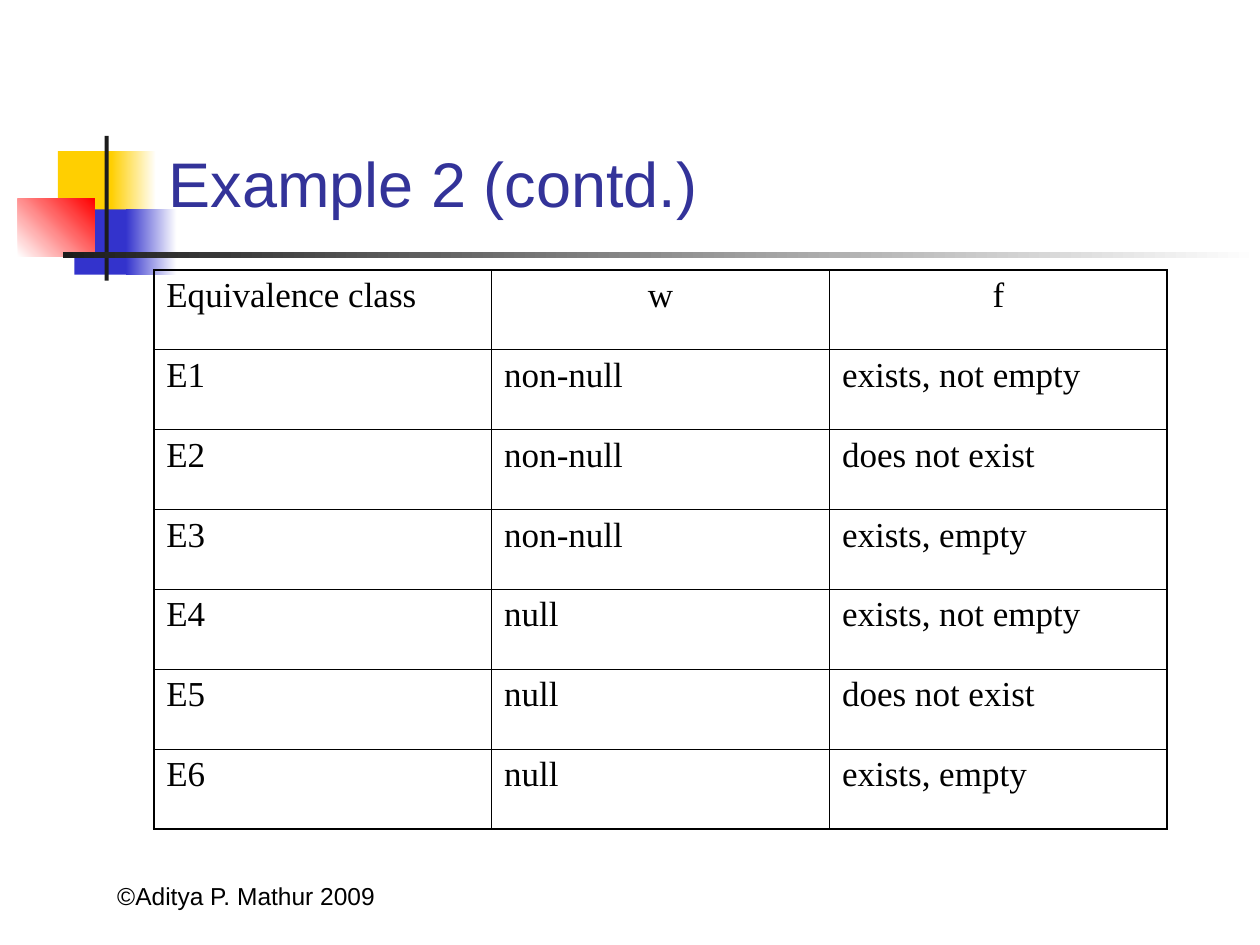
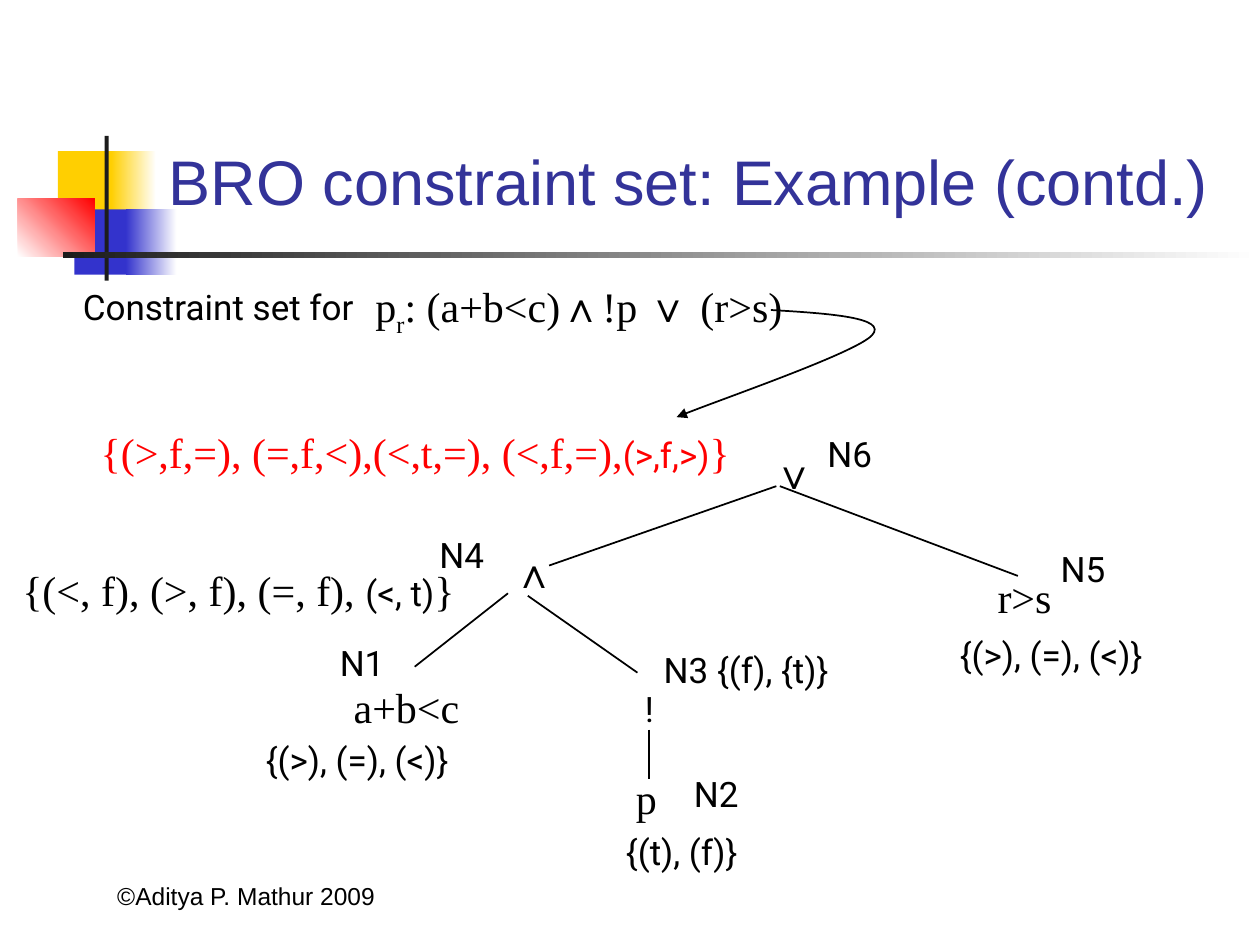
from lxml import etree
from pptx import Presentation
from pptx.dml.color import RGBColor
from pptx.enum import shapes, text
from pptx.oxml import ns
from pptx.util import Cm, Pt

BLACK = RGBColor(0x00, 0x00, 0x00)
WHITE = RGBColor(0xFF, 0xFF, 0xFF)
CHARCOAL = RGBColor(0x1C, 0x1C, 0x1C)
YELLOW = RGBColor(0xFF, 0xCF, 0x01)
BLUE = RGBColor(0x33, 0x33, 0xCC)
RED = RGBColor(0xFF, 0x00, 0x00)
TITLE_BLUE = RGBColor(0x33, 0x33, 0x99)

# Text styles: font name and size in points
TITLE = ("Arial", 36)
FOOTER = ("Arial", 14)
SYMBOL = ("Arial", 24)
FORMULA = ("Times New Roman", 24)
CELL = ("Times New Roman", 20)
LABEL = ("Roboto", 20)

LINE_WIDTH = Pt(1)
OUTER_BORDER, INNER_BORDER = Pt(1.08), Pt(0.45)

CLASSES = [
    ("Equivalence class", "w", "f"),
    ("E1", "non-null", "exists, not empty"),
    ("E2", "non-null", "does not exist"),
    ("E3", "non-null", "exists, empty"),
    ("E4", "null", "exists, not empty"),
    ("E5", "null", "does not exist"),
    ("E6", "null", "exists, empty"),
]

# Left, top and width in cm, then the text
NODE_NAMES = [
    (6.6, 12.8, 1.55, "N1"),
    (13.74, 15.44, 1.55, "N2"),
    (13.13, 12.95, 4.32, "N3 {(f), {t)}"),
    (8.61, 10.64, 1.55, "N4"),
    (21.13, 10.92, 1.55, "N5"),
    (16.43, 8.59, 1.55, "N6"),
]
LEAF_SETS = [
    (5.11, 14.76, 5.49, "{(>), (=), (<)}"),
    (19.1, 12.65, 5.49, "{(>), (=), (<)}"),
    (12.37, 16.61, 3.81, "{(t), (f)}"),
]
NOT_OPERATOR = [(12.75, 13.74, 0.69, "!")]
OPERANDS = [
    (12.57, 15.44, 1.02, "p"),
    (19.86, 11.4, 1.88, "r>s"),
    (6.88, 13.61, 3.2, "a+b<c"),
]
OPERATORS = [(10.11, 10.9, 0.79, "∧"), (15.34, 8.89, 0.51, "∨")]

# Start x, y and end x, y in cm
TREE_EDGES = [
    (10.24, 11.96, 8.36, 13.44),
    (10.64, 12.01, 12.85, 13.56),
    (13.08, 14.71, 13.08, 15.7),
    (15.65, 9.8, 11.07, 11.4),
    (15.72, 9.8, 20.52, 11.61),
]
# Start point, then two control points and an end point for each curve
ARROW_POINTS = [
    (15.54, 6.25),
    (16.71, 6.32), (17.91, 6.4), (17.58, 6.76),
    (17.25, 7.11), (14.3, 8.13), (13.64, 8.41),
]


def add_run(para, words, style, colour=BLACK, subscript=False):
    span = para.add_run()
    span.text = words
    span.font.name, span.font.size = style[0], Pt(style[1])
    span.font.color.rgb = colour
    if subscript:
        span._r.get_or_add_rPr().set("baseline", "-25000")


def add_text(slide, left, top, width, runs, colour=BLACK):
    """Add a one-line box; each run is (words, style[, subscript])."""
    height = 1.27 if runs[0][1][1] == 24 else 1.12
    box = slide.shapes.add_textbox(Cm(left), Cm(top), Cm(width), Cm(height))
    box.text_frame.word_wrap = True
    para = box.text_frame.paragraphs[0]
    for words, style, *subscript in runs:
        add_run(para, words, style, colour, bool(subscript))
    return box


def add_block(slide, left, top, width, height, start, end=None, angle=0):
    """Add a rectangle, solid or fading from start to end."""
    block = slide.shapes.add_shape(
        shapes.MSO_SHAPE.RECTANGLE, Cm(left), Cm(top), Cm(width), Cm(height))
    block.shadow.inherit = False
    block.line.fill.background()
    if end is None:
        block.fill.solid()
        block.fill.fore_color.rgb = start
    else:
        block.fill.gradient()
        block.fill.gradient_angle = angle
        for stop, colour in zip(block.fill.gradient_stops, (start, end)):
            stop.color.rgb = colour
    return block


def decorate_layout(layout, slide):
    """Draw the blocks and rule on a slide, then move them to its layout."""
    blocks = [
        add_block(slide, 1.17, 3.05, 1.22, 1.32, YELLOW),
        add_block(slide, 2.24, 3.05, 0.91, 1.32, YELLOW, WHITE),
        add_block(slide, 1.5, 4.22, 1.17, 1.32, BLUE),
        add_block(slide, 2.54, 4.22, 1.02, 1.32, BLUE, WHITE),
        add_block(slide, 0.36, 4.01, 1.55, 1.17, WHITE, RED, 45),
        add_block(slide, 2.11, 2.74, 0.08, 2.92, CHARCOAL),
        add_block(slide, 1.27, 5.08, 24.13, 0.13, CHARCOAL, WHITE),
    ]
    for block in blocks:
        layout.shapes.element.append(block.element)


def add_title(slide, words, top):
    title = slide.shapes.title
    title.left, title.top = Cm(3.15), Cm(top)
    title.width, title.height = Cm(21.64), Cm(1.8)
    frame = title.text_frame
    frame.auto_size = text.MSO_AUTO_SIZE.NONE
    frame.vertical_anchor = text.MSO_ANCHOR.BOTTOM
    frame.paragraphs[0].alignment = text.PP_ALIGN.LEFT
    add_run(frame.paragraphs[0], words, TITLE, TITLE_BLUE)


def add_footer(slide):
    box = add_text(slide, 0.94, 17.2, 8.05, [("©Aditya P. Mathur 2009", FOOTER)])
    box.height = Cm(1.27)
    box.text_frame.vertical_anchor = text.MSO_ANCHOR.BOTTOM
    box.text_frame.paragraphs[0].alignment = text.PP_ALIGN.CENTER


def add_slide(deck, layout, title, title_top):
    slide = deck.slides.add_slide(layout)
    add_title(slide, title, title_top)
    add_footer(slide)
    return slide


def set_borders(cell, widths):
    """Give the left, right, top and bottom borders their widths."""
    properties = cell._tc.get_or_add_tcPr()
    for position, (side, width) in enumerate(zip("LRTB", widths)):
        border = etree.Element(ns.qn(f"a:ln{side}"), w=str(int(width)))
        fill = etree.SubElement(border, ns.qn("a:solidFill"))
        etree.SubElement(fill, ns.qn("a:srgbClr"), val=str(BLACK))
        properties.insert(position, border)


def add_class_table(slide, rows):
    last_row, last_column = len(rows) - 1, len(rows[0]) - 1
    table = slide.shapes.add_table(
        len(rows), len(rows[0]), Cm(3.1), Cm(5.44),
        Cm(6.81 * len(rows[0])), Cm(1.61 * len(rows))).table
    table.first_row = table.horz_banding = False
    for r, row in enumerate(rows):
        for c, words in enumerate(row):
            cell = table.cell(r, c)
            cell.fill.background()
            para = cell.text_frame.paragraphs[0]
            if r == 0 and c > 0:
                para.alignment = text.PP_ALIGN.CENTER
            add_run(para, words, CELL)
            on_edge = (c == 0, c == last_column, r == 0, r == last_row)
            set_borders(cell, [OUTER_BORDER if edge else INNER_BORDER
                               for edge in on_edge])


def add_edge(slide, x1, y1, x2, y2):
    edge = slide.shapes.add_connector(
        shapes.MSO_CONNECTOR.STRAIGHT, Cm(x1), Cm(y1), Cm(x2), Cm(y2))
    edge.line.width = LINE_WIDTH
    edge.line.color.rgb = BLACK
    etree.SubElement(edge.element.spPr, ns.qn("a:effectLst"))


def add_curved_arrow(slide, points):
    start, *others = [(Cm(x), Cm(y)) for x, y in points]
    builder = slide.shapes.build_freeform(*start)
    builder.add_line_segments(others, close=False)
    arrow = builder.convert_to_shape()
    arrow.shadow.inherit = False
    arrow.fill.background()
    arrow.line.width = LINE_WIDTH
    arrow.line.color.rgb = BLACK
    etree.SubElement(arrow.line._get_or_add_ln(), ns.qn("a:tailEnd"), type="triangle")

    # Every three line segments become one Bézier curve
    outline = next(arrow.element.iter(ns.qn("a:path")))
    segments = outline.findall(ns.qn("a:lnTo"))
    for first in range(0, len(segments), 3):
        curve = etree.SubElement(outline, ns.qn("a:cubicBezTo"))
        for segment in segments[first:first + 3]:
            curve.append(segment[0])
            outline.remove(segment)


def add_constraint_tree(slide):
    add_text(slide, 1.78, 8.48, 14.43, [
        ("{(>,f,=), (=,f,<),(<,t,=), (<,f,=),", FORMULA),
        ("(>,f,>)", LABEL), ("}", FORMULA)], RED)
    add_text(slide, 0.2, 11.25, 10.16, [
        ("{(<, f), (>, f), (=, f), ", FORMULA),
        ("(<, t)", LABEL), ("}", FORMULA)])
    for style, items in (
            (FORMULA, OPERANDS), (SYMBOL, OPERATORS),
            (LABEL, NODE_NAMES + LEAF_SETS + NOT_OPERATOR)):
        for left, top, width, words in items:
            add_text(slide, left, top, width, [(words, style)])
    for edge in TREE_EDGES:
        add_edge(slide, *edge)


def add_predicate(slide):
    add_text(slide, 1.42, 5.64, 6.3, [("Constraint set for", LABEL)])
    add_text(slide, 7.32, 5.54, 11.15, [
        ("p", FORMULA), ("r", FORMULA, True), (": (a+b<c)", FORMULA),
        ("∧", SYMBOL), ("!p ", FORMULA), ("∨", SYMBOL), (" (r>s)", FORMULA)])


def main():
    deck = Presentation()
    deck.slide_width, deck.slide_height = Cm(25.4), Cm(19.05)
    layout = deck.slide_layouts.get_by_name("Title Only")

    table_slide = add_slide(deck, layout, "Example 2 (contd.)", 2.77)
    decorate_layout(layout, table_slide)
    add_class_table(table_slide, CLASSES)

    tree_slide = add_slide(
        deck, layout, "BRO constraint set: Example (contd.)", 2.72)
    add_constraint_tree(tree_slide)
    add_predicate(tree_slide)
    add_curved_arrow(tree_slide, ARROW_POINTS)

    deck.save("out.pptx")


if __name__ == "__main__":
    main()
